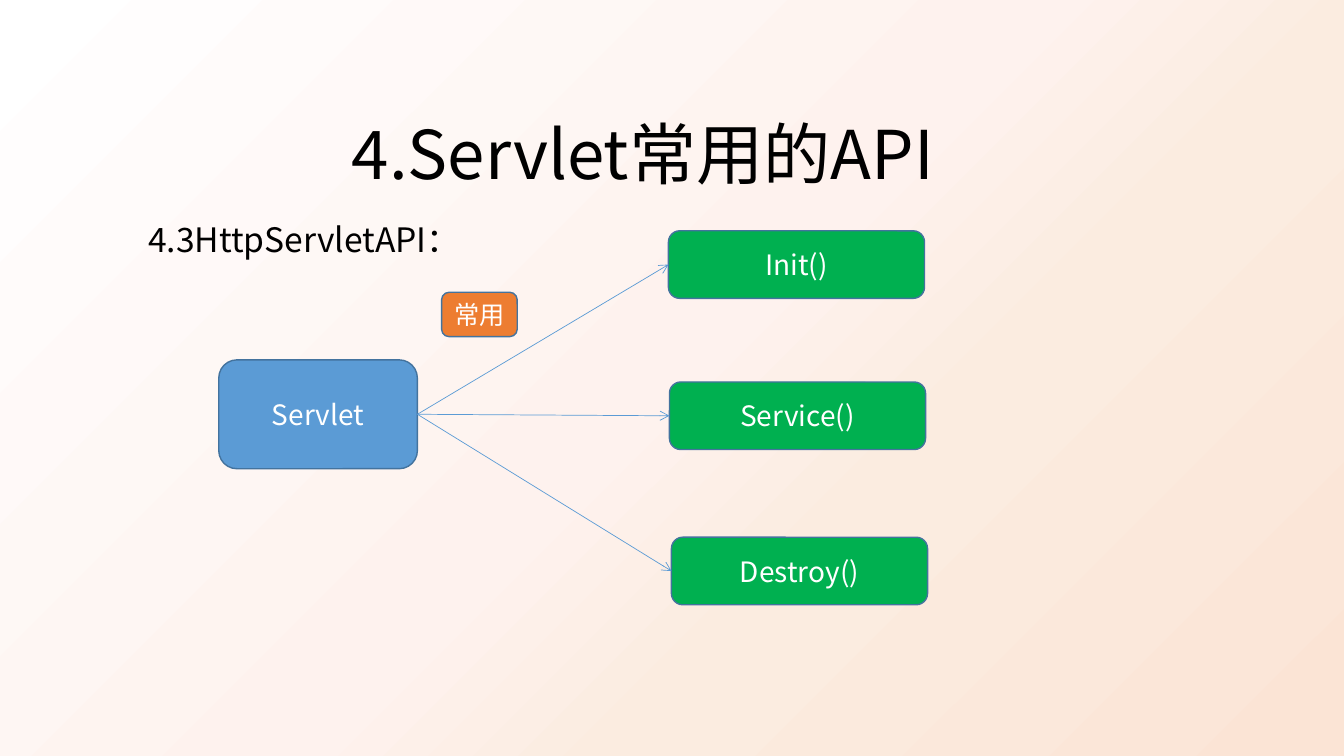
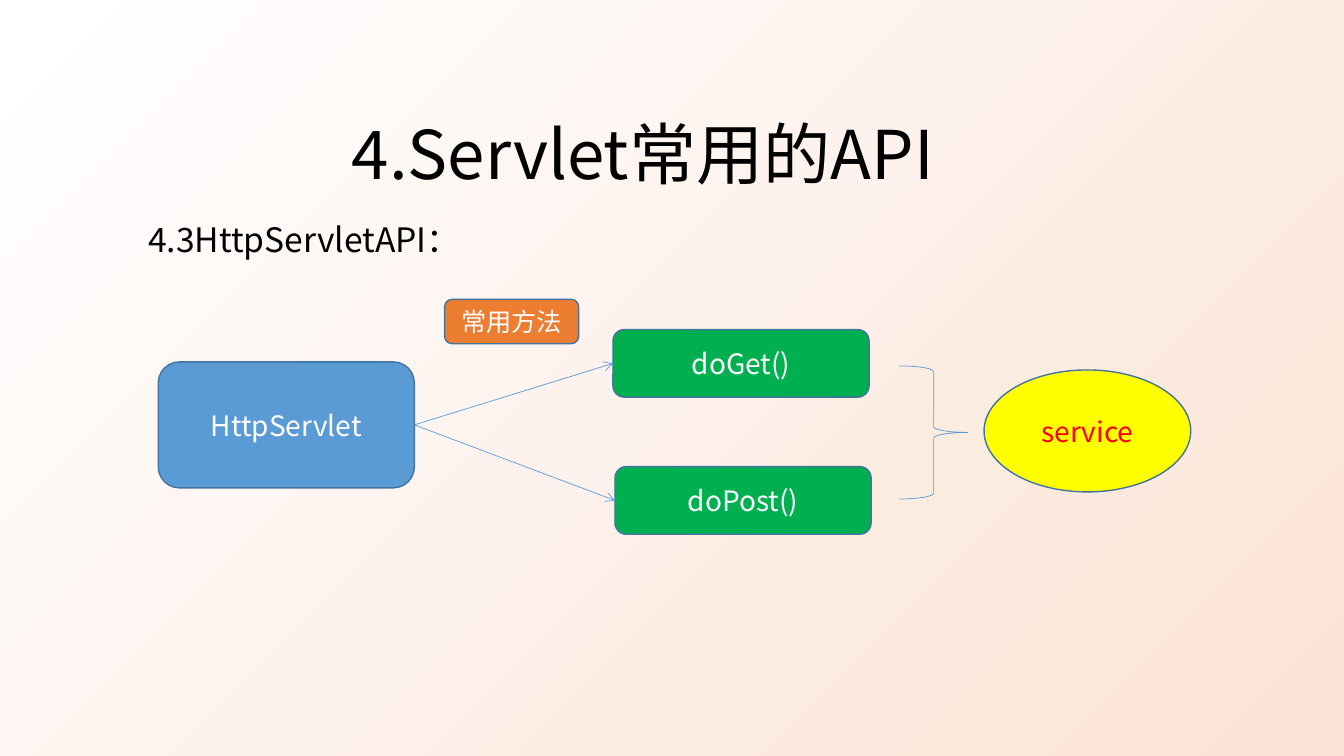
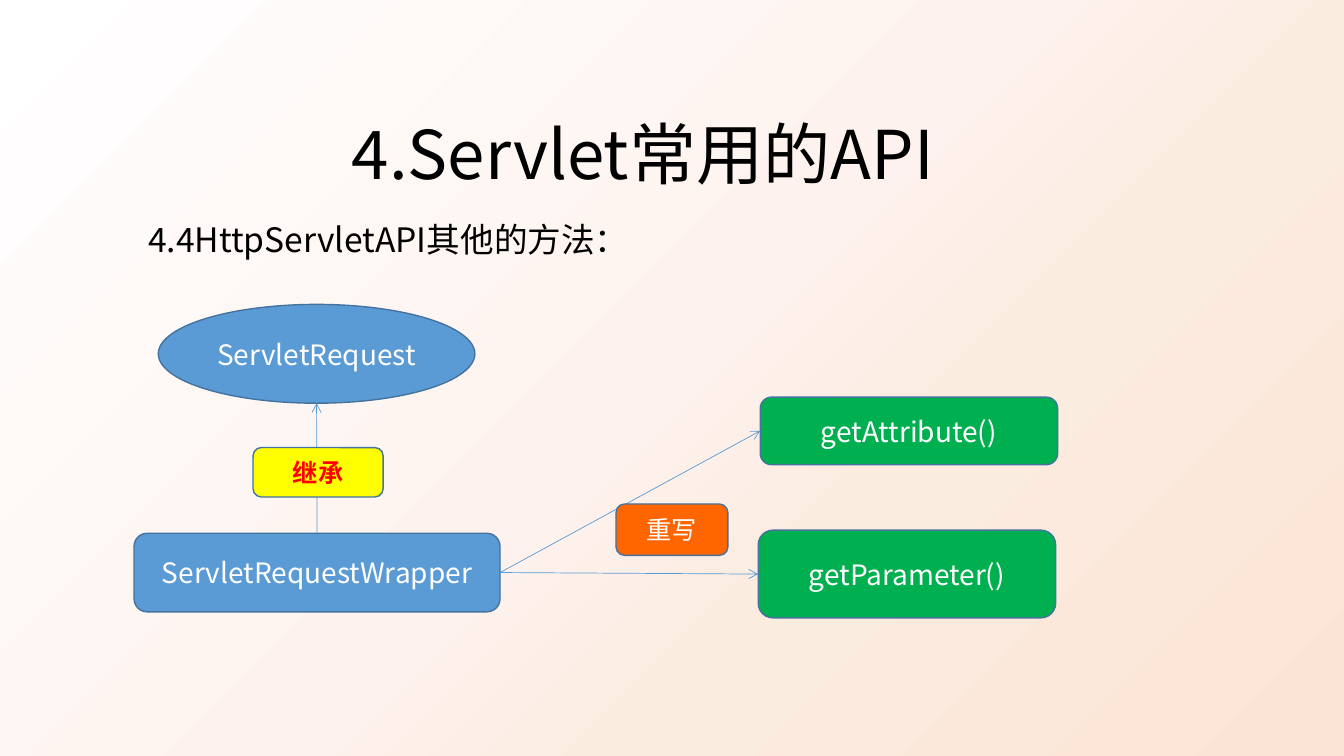
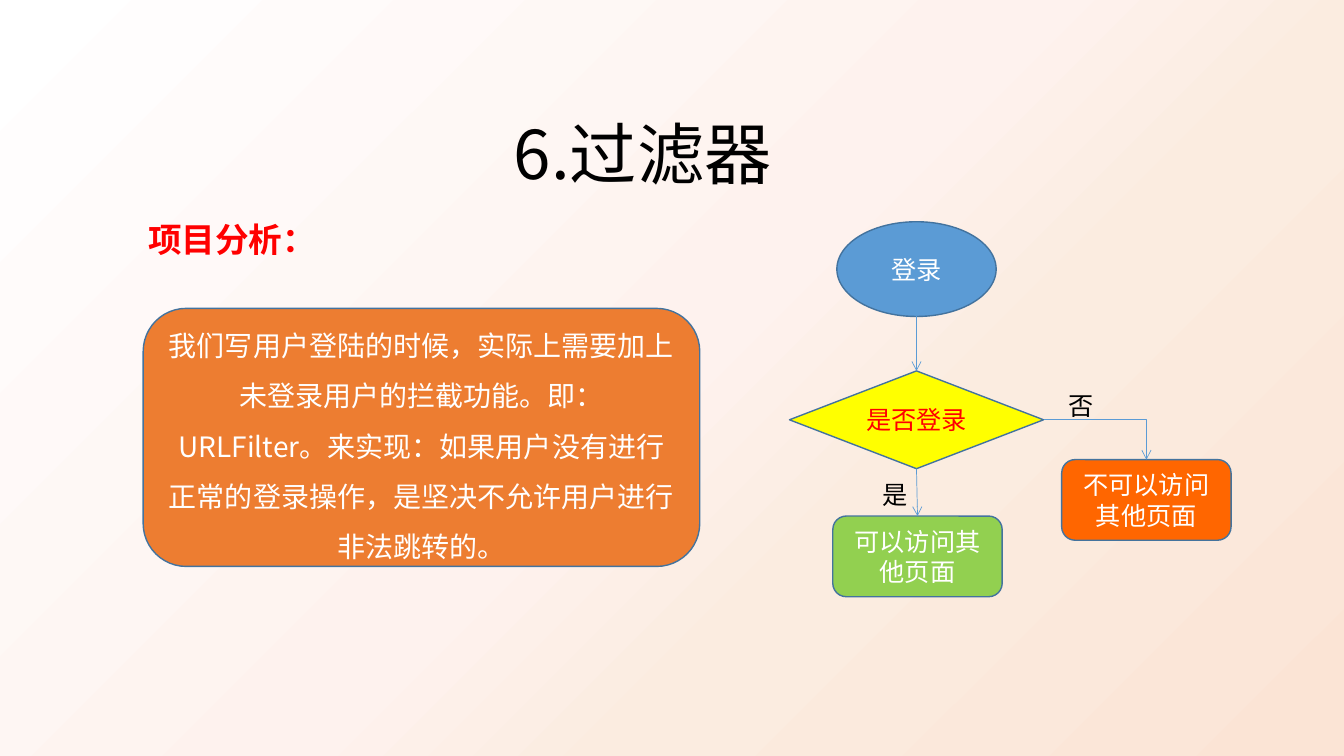
"""Build four slides about the Servlet API and a login filter."""
from copy import deepcopy

from lxml import etree
from pptx import Presentation
from pptx.dml.color import RGBColor
from pptx.enum.shapes import MSO_CONNECTOR, MSO_SHAPE
from pptx.enum.text import MSO_ANCHOR, MSO_AUTO_SIZE, PP_ALIGN
from pptx.oxml.ns import qn
from pptx.util import Inches, Pt

ROUND = MSO_SHAPE.ROUNDED_RECTANGLE
OVAL = MSO_SHAPE.OVAL
DIAMOND = MSO_SHAPE.DIAMOND
BRACE = MSO_SHAPE.RIGHT_BRACE
STRAIGHT = MSO_CONNECTOR.STRAIGHT
ELBOW = MSO_CONNECTOR.ELBOW
TOP, LEFT, BOTTOM, RIGHT = range(4)

BLUE, EDGE, GREEN, LIME = "5B9BD5", "43739E", "00B050", "92D050"
ORANGE, FLAME, YELLOW = "ED7D31", "FF6600", "FFFF00"
RED, BLACK, WHITE = "FF0000", "000000", "FFFFFF"
SANS, LATIN = "Noto Sans CJK SC", "Calibri"
SHADES = [(0, WHITE), (0.5, "FEF2EE"), (0.65, "FBECE0"), (1, "FBE4D5")]
API = "4.Servlet常用的API"
NOTE = ("我们写用户登陆的时候，实际上需要加上未登录用户的拦截功能。即：URLFilter。"
        "来实现：如果用户没有进行正常的登录操作，是坚决不允许用户进行非法跳转的。")

hue = RGBColor.from_string


def write(shape, text, size, ink, bold=False):
    """Add one run of text to the first paragraph of a shape."""
    run = shape.text_frame.paragraphs[0].add_run()
    run.text = text
    run.font.size = Pt(size)
    run.font.bold = bold
    run.font.color.rgb = hue(ink)
    run.font.name = LATIN if size == 18 else SANS
    etree.SubElement(run.font._element, qn("a:ea")).set("typeface", SANS)


def link(page, start, out, end, into, kind):
    """Draw an arrow from one side of a shape to a side of another."""
    ends = []
    for shape, side in ((start, out), (end, into)):
        ends.append(shape.left + int(shape.width * (0.5, 0, 0.5, 1)[side]))
        ends.append(shape.top + int(shape.height * (0, 0.5, 1, 0.5)[side]))
    arrow = page.shapes.add_connector(kind, *ends)
    arrow.line.color.rgb = hue(BLUE)
    arrow.line.width = Pt(0.5)
    props = arrow.element.spPr
    etree.SubElement(props.find(qn("a:ln")), qn("a:tailEnd")).set("type", "arrow")
    etree.SubElement(props, qn("a:effectLst"))
    if kind == ELBOW:
        props.find(qn("a:prstGeom")).set("prst", "bentConnector2")
        return
    if start.auto_shape_type != OVAL:
        arrow.begin_connect(start, out)
    if end.auto_shape_type != OVAL:
        arrow.end_connect(end, into)


PAGES = [
    (API, "4.3HttpServletAPI：", BLACK, [
        (ROUND, 2.17, 3.57, 1.97, 1.08, BLUE, "Servlet", 20, WHITE),
        (ROUND, 6.63, 2.29, 2.54, 0.67, GREEN, "Init()", 20, WHITE),
        (ROUND, 6.64, 3.79, 2.54, 0.67, GREEN, "Service()", 20, WHITE),
        (ROUND, 6.66, 5.33, 2.54, 0.67, GREEN, "Destroy()", 20, WHITE),
    ], [(0, RIGHT, n, LEFT, STRAIGHT) for n in (1, 2, 3)], [
        (ROUND, 4.38, 2.9, 0.75, 0.44, ORANGE, "常用", 18, WHITE),
    ]),
    (API, "4.3HttpServletAPI：", BLACK, [
        (ROUND, 1.57, 3.59, 2.54, 1.25, BLUE, "HttpServlet", 20, WHITE),
        (ROUND, 6.08, 3.27, 2.54, 0.67, GREEN, "doGet()", 20, WHITE),
        (ROUND, 6.1, 4.63, 2.54, 0.67, GREEN, "doPost()", 20, WHITE),
        (OVAL, 9.76, 3.67, 2.05, 1.21, YELLOW, "service", 20, RED),
        (BRACE, 8.92, 3.63, 0.68, 1.32, None, "", 20, BLACK),
    ], [(0, RIGHT, n, LEFT, STRAIGHT) for n in (1, 2)], [
        (ROUND, 4.41, 2.97, 1.33, 0.44, ORANGE, "常用方法", 18, WHITE),
    ]),
    (API, "4.4HttpServletAPI其他的方法：", BLACK, [
        (ROUND, 1.33, 5.29, 3.63, 0.78, BLUE, "ServletRequestWrapper", 20, WHITE),
        (ROUND, 7.54, 3.94, 2.95, 0.67, GREEN, "getAttribute()", 20, WHITE),
        (ROUND, 7.52, 5.26, 2.95, 0.87, GREEN, "getParameter()", 20, WHITE),
        (OVAL, 1.57, 3.02, 3.14, 0.98, BLUE, "ServletRequest", 20, WHITE),
    ], [
        (0, RIGHT, 1, LEFT, STRAIGHT),
        (0, RIGHT, 2, LEFT, STRAIGHT),
        (0, TOP, 3, BOTTOM, STRAIGHT),
    ], [
        (ROUND, 2.51, 4.44, 1.29, 0.49, YELLOW, "继承", 18, RED, True),
        (ROUND, 6.11, 5, 1.11, 0.51, FLAME, "重写", 18, WHITE),
    ]),
    ("6.过滤器", "项目分析：", RED, [
        (ROUND, 1.42, 3.06, 5.52, 2.56, ORANGE, NOTE, 20, WHITE),
        (OVAL, 8.3, 2.2, 1.58, 0.94, BLUE, "登录", 18, WHITE),
        (DIAMOND, 7.83, 3.68, 2.52, 0.97, YELLOW, "是否登录", 18, RED),
        (ROUND, 8.26, 5.12, 1.68, 0.8, LIME, "可以访问其他页面", 18, WHITE),
        (ROUND, 10.53, 4.56, 1.68, 0.8, FLAME, "不可以访问其他页面", 18, WHITE),
    ], [
        (1, BOTTOM, 2, TOP, STRAIGHT),
        (2, BOTTOM, 3, TOP, STRAIGHT),
        (2, RIGHT, 4, TOP, ELBOW),
    ], [
        (None, 8.65, 4.71, 0.45, 0.4, None, "是", 18, BLACK),
        (None, 10.5, 3.82, 0.45, 0.4, None, "否", 18, BLACK),
    ]),
]

deck = Presentation()
deck.slide_width = Inches(13.33)
deck.slide_height = Inches(7.5)

master = deck.slide_master
back = master.background.fill
back.gradient()
back.gradient_angle = 315
stops = master.element.find(".//" + qn("a:gsLst"))
for _ in SHADES[2:]:
    stops.insert(1, deepcopy(stops[0]))
for stop, (place, shade) in zip(back.gradient_stops, SHADES):
    stop.position = place
    stop.color.rgb = hue(shade)

for title, topic, tint, nodes, links, tags in PAGES:
    page = deck.slides.add_slide(deck.slide_layouts[5])
    head = page.shapes.title
    head.left, head.top = Inches(1.4), Inches(1.06)
    head.width, head.height = Inches(9.95), Inches(0.91)
    head.text_frame.vertical_anchor = MSO_ANCHOR.TOP
    head.text_frame.paragraphs[0].alignment = PP_ALIGN.CENTER
    write(head, title, 48, BLACK)
    sub = page.shapes.add_textbox(Inches(1.37), Inches(2.12), Inches(9.95), Inches(0.5))
    write(sub, topic, 24, tint, tint == RED)
    for box in (head, sub):
        box.text_frame.word_wrap = True
        box.text_frame.auto_size = MSO_AUTO_SIZE.SHAPE_TO_FIT_TEXT

    made = []
    for kind, x, y, w, h, fill, text, *style in nodes + tags:
        if len(made) == len(nodes):
            for start, out, end, into, form in links:
                link(page, made[start], out, made[end], into, form)
        area = Inches(x), Inches(y), Inches(w), Inches(h)
        if kind is None:
            shape = page.shapes.add_textbox(*area)
            shape.text_frame.word_wrap = False
            shape.text_frame.auto_size = MSO_AUTO_SIZE.SHAPE_TO_FIT_TEXT
        else:
            shape = page.shapes.add_shape(kind, *area)
            shape.shadow.inherit = False
            shape.line.color.rgb = hue(EDGE if fill else BLUE)
            shape.line.width = Pt(1 if fill else 0.5)
            if fill:
                shape.fill.solid()
                shape.fill.fore_color.rgb = hue(fill)
            else:
                shape.fill.background()
        if text:
            write(shape, text, *style)
        if text == NOTE:
            shape.text_frame.paragraphs[0].line_spacing = 1.5
        made.append(shape)

deck.save("out.pptx")
